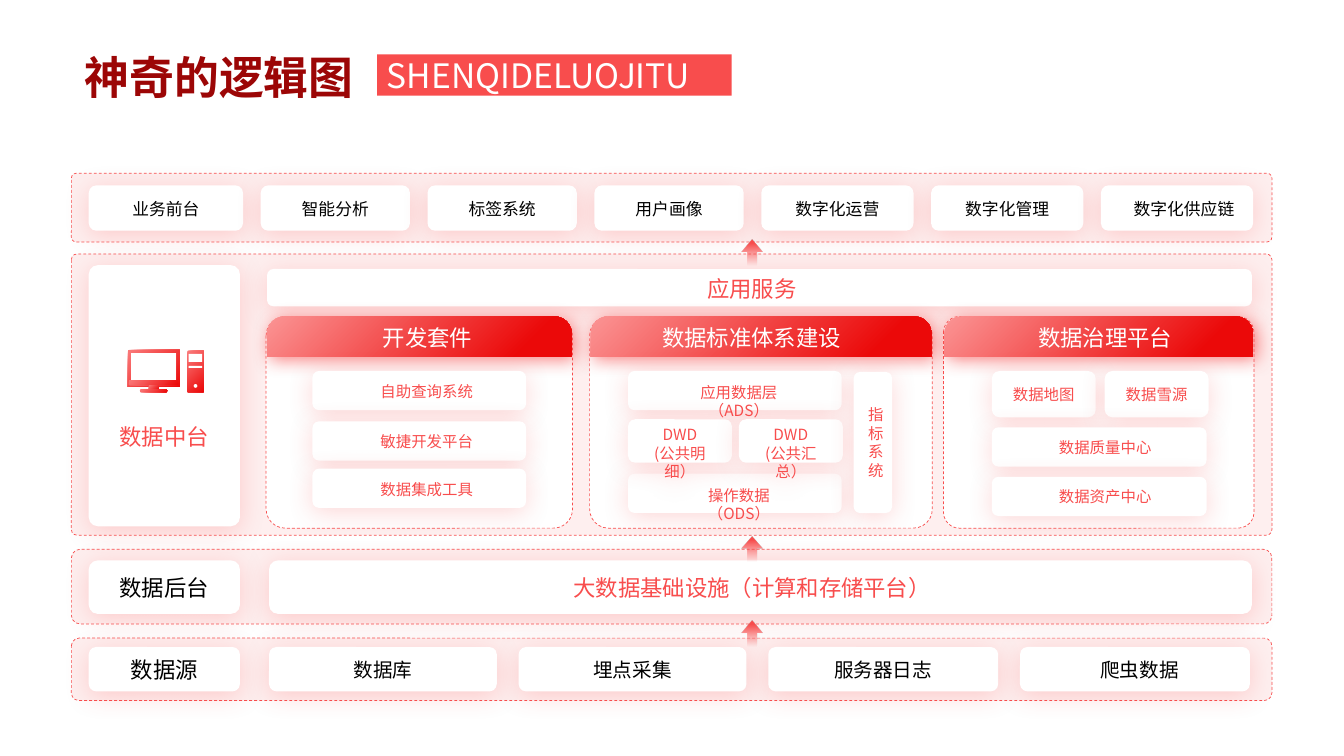
from dataclasses import dataclass

from lxml import etree
from pptx import Presentation
from pptx.dml.color import RGBColor
from pptx.enum.dml import MSO_LINE
from pptx.enum.shapes import MSO_SHAPE
from pptx.enum.text import MSO_ANCHOR, MSO_AUTO_SIZE, PP_ALIGN
from pptx.oxml.ns import qn
from pptx.util import Pt

ROUND, RECT, OVAL = MSO_SHAPE.ROUNDED_RECTANGLE, MSO_SHAPE.RECTANGLE, MSO_SHAPE.OVAL
TAB, FRAME, UP_ARROW = MSO_SHAPE.ROUND_2_SAME_RECTANGLE, MSO_SHAPE.FRAME, MSO_SHAPE.UP_ARROW
DASH = MSO_LINE.DASH
TOP, MIDDLE = MSO_ANCHOR.TOP, MSO_ANCHOR.MIDDLE
LEFT, CENTER = PP_ALIGN.LEFT, PP_ALIGN.CENTER
NO_AUTOFIT = MSO_AUTO_SIZE.NONE


@dataclass(frozen=True)
class Theme:
    """Colours, fonts and type sizes of the slide."""
    red: str = "F84D4D"
    dark: str = "9C0606"
    blush: str = "FEDBDB"
    white: str = "FFFFFF"
    black: str = "000000"
    header: tuple = ((0, "FB9494"), (84, "EB0909"))
    icon: tuple = ((0, "FA7B7B"), (100, "EB0909"))
    body_font: str = "Noto Sans CJK JP"
    head_font: str = "Noto Sans CJK SC"
    title: int = 32
    subtitle: int = 24
    label: int = 16
    source: int = 14
    front: int = 12
    small: int = 11


@dataclass(frozen=True)
class Box:
    """A rectangle in points."""
    left: float
    top: float
    width: float
    height: float

    def inner(self, left, top, width, height):
        """Return a box placed relative to this one."""
        return Box(self.left + left, self.top + top, width, height)


THEME = Theme()


def set_gradient(fill, stops, angle):
    """Fill with two colour stops at a clockwise angle."""
    fill.gradient()
    fill.gradient_angle = (360 - angle) % 360
    for stop, (position, color) in zip(fill.gradient_stops, stops):
        stop.position = position / 100
        stop.color.rgb = RGBColor.from_string(color)


def set_alpha(color, percent):
    """Make a colour element partly transparent."""
    etree.SubElement(color, qn("a:alpha"), val=str(percent * 1000))


def set_font(font, size, name):
    """Set size and the Latin and East Asian typeface."""
    font.size = Pt(size)
    font.name = name
    etree.SubElement(font._rPr, qn("a:ea"), typeface=name)


def add_block(shapes, kind, box, color=None, adjust=()):
    """Add a preset shape without line or shadow."""
    shape = shapes.add_shape(kind, Pt(box.left), Pt(box.top), Pt(box.width), Pt(box.height))
    shape.shadow.inherit = False
    shape.line.fill.background()
    if color:
        shape.fill.solid()
        shape.fill.fore_color.rgb = RGBColor.from_string(color)
    for index, value in enumerate(adjust):
        shape.adjustments[index] = value
    return shape


def add_glow(shape, alpha, blur, angle):
    """Cast a soft red shadow."""
    effects = shape._element.spPr.find(qn("a:effectLst"))
    glow = etree.SubElement(effects, qn("a:outerShdw"), blurRad=str(Pt(blur)), dist=str(Pt(3)),
                            dir=str(angle * 60000), algn="ctr", rotWithShape="0")
    set_alpha(etree.SubElement(glow, qn("a:srgbClr"), val=THEME.red), alpha)


def write(shape, text, size, color, name=THEME.body_font, shift=(0, 0), inset=0, anchor=MIDDLE):
    """Write centred lines, moved by shift from the middle of the shape."""
    across, down = shift
    frame = shape.text_frame
    frame.word_wrap = True
    frame.vertical_anchor = anchor
    frame.margin_left = Pt(inset + max(2 * across, 0))
    frame.margin_right = Pt(inset + max(-2 * across, 0))
    frame.margin_top = Pt(max(2 * down, 0))
    frame.margin_bottom = Pt(max(-2 * down, 0))
    frame.text = text
    for para in frame.paragraphs:
        para.alignment = CENTER
        para.font.color.rgb = RGBColor.from_string(color)
        set_font(para.font, size, name)


def add_card(page, box, text, size=THEME.small, color=THEME.red, round_by=0.167, **layout):
    """Add a white rounded card with its label."""
    card = add_block(page.shapes, ROUND, box, THEME.white, [round_by])
    add_glow(card, 22, 19, 90)
    write(card, text, size, color, **layout)


def add_dashed(page, box, color, round_by):
    """Add a rounded panel with a dashed red outline."""
    panel = add_block(page.shapes, ROUND, box, color, [round_by])
    panel.line.color.rgb = RGBColor.from_string(THEME.red)
    panel.line.width = Pt(0.5)
    panel.line.dash_style = DASH
    return panel


def add_layer(page, box, round_by):
    """Add the translucent background of one layer."""
    layer = add_dashed(page, box, THEME.blush, round_by)
    set_alpha(next(layer._element.spPr.iter(qn("a:srgbClr"))), 43)


def add_row(page, box, gap, cards, size):
    """Lay out cards from left to right with an equal gap."""
    left = 0
    for text, width, across in cards:
        add_card(page, box.inner(left, 0, width, box.height), text, size, THEME.black, shift=(across, 0.5))
        left += width + gap


def add_heading(page, box):
    """Format the title and add the subtitle band beside it."""
    title = page.shapes.title
    title.left, title.top, title.width, title.height = map(Pt, (box.left, box.top, 250, box.height))
    frame = title.text_frame
    frame.auto_size = NO_AUTOFIT
    frame.vertical_anchor = TOP
    para = frame.paragraphs[0]
    para.alignment = LEFT
    span = para.add_run()
    span.text = "神奇的逻辑图"
    span.font.bold = True
    set_gradient(span.font.fill, ((0, THEME.dark), (100, THEME.red)), 225)
    set_font(span.font, THEME.title, THEME.head_font)
    band = add_block(page.shapes, RECT, box.inner(216, 7.2, 253.4, 29.5), THEME.red)
    write(band, "SHENQIDELUOJITU", THEME.subtitle, THEME.white, inset=7.2)
    band.text_frame.paragraphs[0].alignment = LEFT


def add_front(page, box):
    """Build the business front layer."""
    add_layer(page, box, 0.068)
    cards = [("业务前台", 110.2, 0), ("智能分析", 106.6, 0), ("标签系统", 106.6, 0), ("用户画像", 106.6, 0),
             ("数字化运营", 108.7, 0), ("数字化管理", 108.7, 0), ("数字化供应链", 108.7, 5)]
    add_row(page, box.inner(12.4, 8.6, 833, 32.4), 12.6, cards, THEME.front)


def add_computer(page, box):
    """Draw the desktop computer icon."""
    group = page.shapes.add_group_shape()
    parts = [(FRAME, (0, 0, 37, 26.5), [0.08]), (ROUND, (0.7, 21.6, 35.3, 3.6), [0.167]),
             (RECT, (15, 25.2, 7.2, 4), []), (ROUND, (8.6, 28.2, 19.4, 2), [0.5]),
             (ROUND, (42.5, 0.5, 11.7, 29.7), [0.06])]
    for kind, place, adjust in parts:
        part = add_block(group.shapes, kind, box.inner(*place), adjust=adjust)
        set_gradient(part.fill, THEME.icon, 45)
    for kind, place in [(RECT, (43.4, 2.8, 9.6, 5.8)), (ROUND, (43.4, 11.5, 9.6, 1.4)),
                        (OVAL, (47, 24.5, 2.6, 2.6))]:
        add_block(group.shapes, kind, box.inner(*place), THEME.white)


def add_suite(page, box, text, round_by, across):
    """Add a dashed suite panel with its gradient header."""
    add_dashed(page, box, THEME.white, round_by)
    header = add_block(page.shapes, TAB, box.inner(0.7, 0, box.width - 1.4, 28.8), adjust=[0.42, 0])
    set_gradient(header.fill, THEME.header, 45)
    add_glow(header, 70, 13, 45)
    write(header, text, THEME.label, THEME.white, THEME.head_font, (across, -1))


def add_development(page, box):
    """Build the development suite."""
    add_suite(page, box, "开发套件", 0.09, 5.8)
    for top, text in [(38.9, "自助查询系统"), (74.9, "敏捷开发平台"), (108.7, "数据集成工具")]:
        add_card(page, box.inner(33.1, top, 152.6, 28), text, shift=(5.4, 0.5))


def add_standards(page, box):
    """Build the data standards suite."""
    add_suite(page, box, "数据标准体系建设", 0.09, -6.8)
    for top, text in [(38.9, "应用数据层（ADS）"), (112.3, "操作数据（ODS）")]:
        add_card(page, box.inner(27.4, top, 152.6, 28), text, shift=(2.9, 3.6), inset=36, anchor=TOP)
    for left, text in [(27.4, "DWD\n(公共明细）"), (106.6, "DWD\n(公共汇总）")]:
        add_card(page, box.inner(left, 73.4, 74.2, 31), text, shift=(0, 1.5), inset=9.5, anchor=TOP)
    add_card(page, box.inner(188.6, 39.6, 27.4, 100.8), "指标系统", inset=9)


def add_governance(page, box):
    """Build the data governance suite."""
    add_suite(page, box, "数据治理平台", 0.075, 4.7)
    for left, text in [(34.6, "数据地图"), (115.2, "数据雪源")]:
        add_card(page, box.inner(left, 38.9, 74.2, 33.1), text)
    for top, text in [(79.2, "数据质量中心"), (114.5, "数据资产中心")]:
        add_card(page, box.inner(34.6, top, 153.4, 28), text, shift=(4.3, 0))


def add_middle(page, box):
    """Build the data middle layer with its three suites."""
    add_layer(page, box, 0.02)
    add_card(page, box.inner(12.4, 8, 108, 186.5), "数据中台", THEME.label, round_by=0.06, shift=(0, 29.5))
    add_computer(page, box.inner(40.4, 68.5, 54.2, 30.2))
    add_card(page, box.inner(139.8, 10.8, 703.4, 26.6), "应用服务", THEME.label, shift=(-5.4, 0.7))
    add_development(page, box.inner(139.1, 44.7, 218.9, 151.2))
    add_standards(page, box.inner(370.2, 44.7, 244.8, 151.2))
    add_governance(page, box.inner(622.9, 44.7, 221.8, 151.2))


def add_back(page, box):
    """Build the data back layer."""
    add_layer(page, box, 0.114)
    add_card(page, box.inner(12.4, 7.9, 108, 38.2), "数据后台", THEME.label, THEME.black)
    add_card(page, box.inner(141.2, 7.9, 702, 38.2), "大数据基础设施（计算和存储平台）", THEME.label, shift=(-5.8, 0))


def add_sources(page, box):
    """Build the data source layer."""
    add_layer(page, box, 0.122)
    add_card(page, box.inner(12.4, 6.4, 108, 31.7), "数据源", THEME.label, THEME.black)
    cards = [("数据库", 162.7, 0), ("埋点采集", 162.7, 0), ("服务器日志", 164.2, 0), ("爬虫数据", 164.2, 3.2)]
    add_row(page, box.inner(141.2, 6.4, 702, 31.7), 15.6, cards, THEME.source)


def add_arrow(page, box):
    """Add an upward arrow that fades out at its foot."""
    arrow = add_block(page.shapes, UP_ARROW, box, adjust=[0.46, 0.6])
    set_gradient(arrow.fill, ((14, THEME.red), (93, THEME.red)), 90)
    set_alpha(list(arrow._element.spPr.iter(qn("a:srgbClr")))[-1], 0)


def main():
    """Build and save the deck."""
    deck = Presentation()
    deck.slide_width, deck.slide_height = Pt(960), Pt(540)
    page = deck.slides.add_slide(deck.slide_layouts[5])
    add_heading(page, Box(53.3, 31.7, 470, 46))
    add_front(page, Box(51, 123.8, 857.5, 49))
    add_middle(page, Box(51, 181.4, 857.5, 200.9))
    add_back(page, Box(51, 392.4, 857.5, 53.3))
    add_sources(page, Box(51, 455.8, 857.5, 44.6))
    for top in (171.4, 383, 443.5):
        add_arrow(page, Box(529.9, top, 14.4, 19.4))
    deck.save("out.pptx")


if __name__ == "__main__":
    main()
